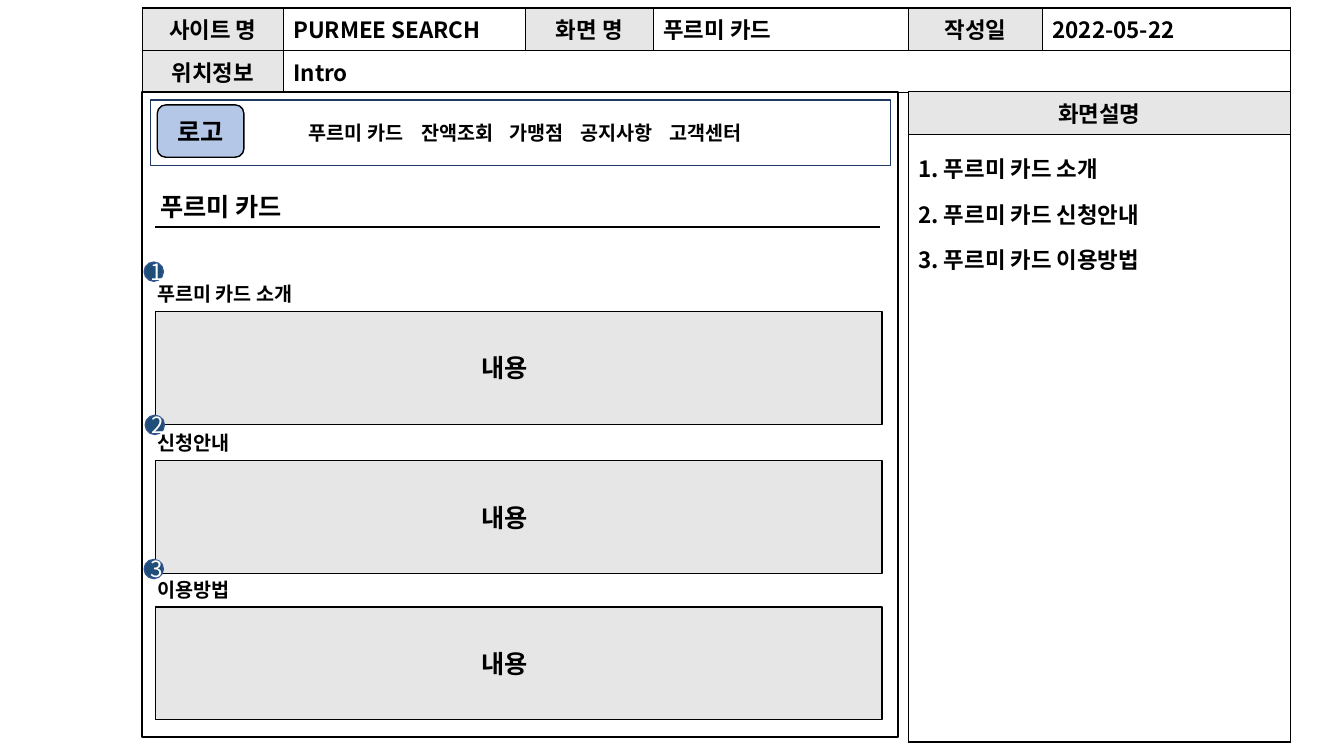
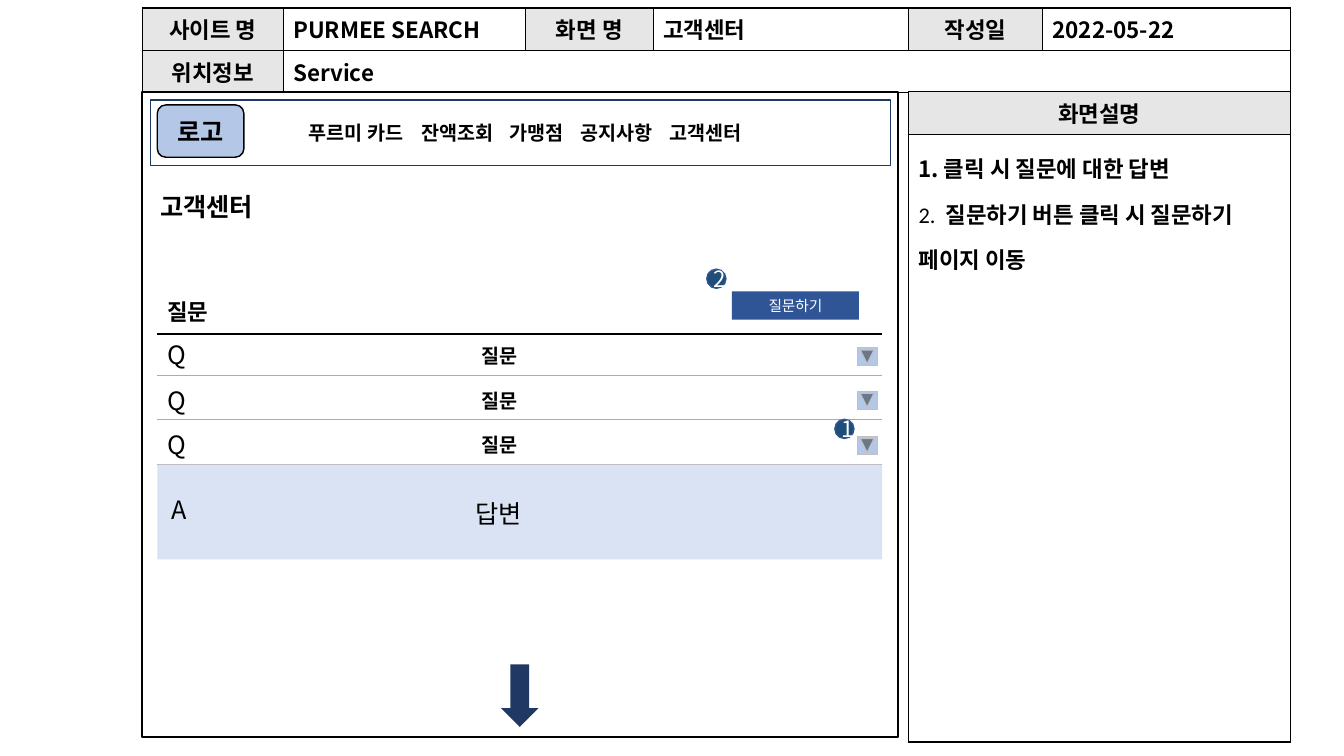
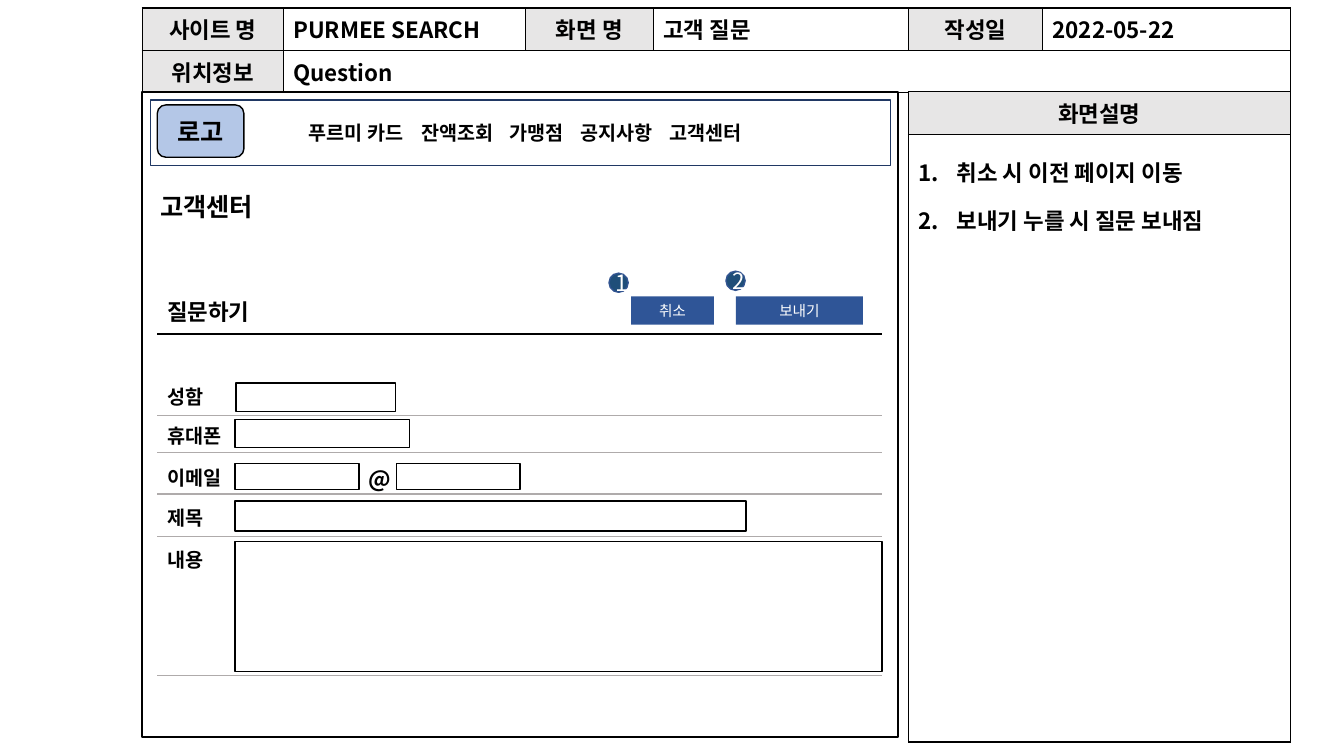
from lxml import etree
from pptx import Presentation
from pptx.dml.color import RGBColor
from pptx.enum import shapes, text
from pptx.oxml import ns
from pptx.util import Inches, Pt

FONT, LATIN = "Noto Sans CJK KR", "Calibri"
BLACK = RGBColor(0x00, 0x00, 0x00)
WHITE = RGBColor(0xFF, 0xFF, 0xFF)
GREY = RGBColor(0xE7, 0xE6, 0xE6)
RULE = RGBColor(0xAF, 0xAB, 0xAB)
SILVER = RGBColor(0xC0, 0xC0, 0xC0)
NAVY = RGBColor(0x20, 0x38, 0x64)
BLUE = RGBColor(0x2F, 0x55, 0x97)
SKY = RGBColor(0xB4, 0xC7, 0xE7)
PALE = RGBColor(0xDA, 0xE3, 0xF3)
MARKER = RGBColor(0x1F, 0x4E, 0x79)
MARKER_EDGE = RGBColor(0x32, 0x54, 0x91)

KIND = shapes.MSO_SHAPE
CENTER, LEFT = text.PP_ALIGN.CENTER, text.PP_ALIGN.LEFT
TITLE_ONLY = 5
RULE_LEFT, RULE_RIGHT = 1.56, 8.75
MENU = ["푸르미 카드", "잔액조회", "가맹점", "공지사항", "고객센터"]
MENU_STOPS = [1.12, 1.99, 2.7, 3.58]


def sub(parent, tag, **attrs):
    return etree.SubElement(parent, ns.qn(tag), attrs)


def add_run(p, words, size, color=BLACK, bold=True, font=FONT):
    r = p.add_run()
    r.text = words
    r.font.size, r.font.bold, r.font.name = Pt(size), bold, font
    r.font.color.rgb = color
    sub(r._r.get_or_add_rPr(), "a:ea", typeface=FONT)


def add_box(s, x, y, w, h, fill=None, line=None, width=1, kind=KIND.RECTANGLE):
    sp = s.shapes.add_shape(kind, Inches(x), Inches(y), Inches(w), Inches(h))
    sp.shadow.inherit = False
    if fill is None:
        sp.fill.background()
    else:
        sp.fill.solid()
        sp.fill.fore_color.rgb = fill
    if line is None:
        sp.line.fill.background()
    else:
        sp.line.color.rgb = line
        sp.line.width = Pt(width)
    return sp


def add_caption(sp, words, size, color=BLACK, bold=True):
    """Write centred text inside a shape."""
    p = sp.text_frame.paragraphs[0]
    p.alignment = CENTER
    add_run(p, words, size, color, bold)


def add_label(s, words, x, y, w, size=14, bold=True):
    h = {14: 0.34, 16: 0.37, 18: 0.4}[size]
    sp = s.shapes.add_textbox(Inches(x), Inches(y), Inches(w), Inches(h))
    sp.text_frame.word_wrap = False
    add_run(sp.text_frame.paragraphs[0], words, size, bold=bold)


def add_rule(s, y, color=RULE, width=1.0, x1=RULE_LEFT, x2=RULE_RIGHT):
    ln = s.shapes.add_connector(shapes.MSO_CONNECTOR.STRAIGHT,
                                Inches(x1), Inches(y), Inches(x2), Inches(y))
    ln.line.color.rgb = color
    ln.line.width = Pt(width)
    sub(ln._element.spPr, "a:effectLst")


def add_marker(s, number, x, y):
    sp = add_box(s, x, y, 0.19, 0.19, MARKER, MARKER_EDGE,
                 kind=KIND.FLOWCHART_CONNECTOR)
    add_caption(sp, number, 16, WHITE, bold=False)


def add_button(s, words, x, y, w):
    add_caption(add_box(s, x, y, w, 0.28, BLUE), words, 10.5, WHITE, bold=False)


def style_cell(cell, fill):
    """Give a cell black borders and a plain fill."""
    tcPr = cell._tc.get_or_add_tcPr()
    for side in ("a:lnL", "a:lnR", "a:lnT", "a:lnB"):
        ln = sub(tcPr, side, w=str(Pt(1)))
        sub(sub(ln, "a:solidFill"), "a:srgbClr", val=str(BLACK))
    cell.fill.solid()
    cell.fill.fore_color.rgb = fill


def add_grid(s, x, y, widths, heights):
    tbl = s.shapes.add_table(len(heights), len(widths), Inches(x), Inches(y),
                             Inches(sum(widths)), Inches(sum(heights))).table
    tbl.first_row = tbl.horz_banding = False
    for col, w in zip(tbl.columns, widths):
        col.width = Inches(w)
    for row, h in zip(tbl.rows, heights):
        row.height = Inches(h)
    return tbl


def add_header(s, screen, location):
    tbl = add_grid(s, 1.41, 0.08, [1.4, 2.4, 1.27, 2.53, 1.33, 2.46], [0.34, 0.34])
    rows = [["사이트 명", "PURMEE SEARCH", "화면 명", screen, "작성일", "2022-05-22"],
            ["위치정보", location, "", "", "", ""]]
    tbl.cell(1, 1).merge(tbl.cell(1, 5))
    for i, row in enumerate(rows):
        for j, words in enumerate(row):
            cell = tbl.cell(i, j)
            heading = j % 2 == 0 and words
            style_cell(cell, GREY if heading else WHITE)
            if words:
                p = cell.text_frame.paragraphs[0]
                p.alignment = CENTER if heading else LEFT
                add_run(p, words, 16)


def number_paragraph(p, indent):
    pPr = p._p.get_or_add_pPr()
    pPr.set("marL", str(Inches(indent)))
    pPr.set("indent", str(-Inches(indent)))
    sub(pPr, "a:buFont", typeface=FONT)
    sub(pPr, "a:buAutoNum", type="arabicPeriod")


def add_notes_panel(s, notes, spacing, indent):
    """List the notes; one given as (number, words) carries a typed number."""
    tbl = add_grid(s, 9.01, 0.91, [3.79], [0.37, 6.03])
    head, body = tbl.cell(0, 0), tbl.cell(1, 0)
    style_cell(head, GREY)
    style_cell(body, WHITE)
    add_caption(head, "화면설명", 16)
    tf = body.text_frame
    for i, note in enumerate(notes):
        p = tf.add_paragraph() if i else tf.paragraphs[0]
        p.line_spacing = spacing
        if isinstance(note, tuple):
            number, note = note
            add_run(p, number, 16, bold=False, font=LATIN)
        else:
            number_paragraph(p, indent)
        add_run(p, note, 16, font=LATIN)


def add_menu_bar(s):
    bar = add_box(s, 1.49, 0.99, 7.34, 0.65, WHITE, NAVY)
    bar.text_frame.margin_left = Inches(1.57)
    p = bar.text_frame.paragraphs[0]
    p.alignment = LEFT
    stops = sub(p._p.get_or_add_pPr(), "a:tabLst")
    for stop in MENU_STOPS:
        sub(stops, "a:tab", pos=str(Inches(stop)), algn="l")
    add_run(p, "\t".join(MENU), 14)
    logo = add_box(s, 1.56, 1.04, 0.86, 0.52, SKY, BLACK,
                   kind=KIND.ROUNDED_RECTANGLE)
    add_caption(logo, "로고", 18)


def add_screen(prs, screen, location, title, notes, spacing=1.4, indent=0):
    """Add a slide with everything that all screens share."""
    s = prs.slides.add_slide(prs.slide_layouts[TITLE_ONLY])
    sp = s.shapes.title
    sp.left, sp.top, sp.width, sp.height = map(Inches, (1.49, 1.85, 3, 0.4))
    tf = sp.text_frame
    tf.auto_size = text.MSO_AUTO_SIZE.NONE
    tf.vertical_anchor = text.MSO_ANCHOR.TOP
    tf.paragraphs[0].alignment = LEFT
    add_run(tf.paragraphs[0], title, 18)
    add_header(s, screen, location)
    add_notes_panel(s, notes, spacing, indent)
    add_box(s, 1.41, 0.91, 7.5, 6.4, line=BLACK, width=1.5)
    add_menu_bar(s)
    return s


def add_section_head(s, words, w):
    add_label(s, words, RULE_LEFT, 2.91, w, 16)
    add_rule(s, 3.31, BLACK, 1.5)


def build_card(prs):
    s = add_screen(prs, "푸르미 카드", "Intro", "푸르미 카드",
                   [" 푸르미 카드 소개", " 푸르미 카드 신청안내", " 푸르미 카드 이용방법"])
    add_rule(s, 2.25, BLACK, 1.5, 1.54, 8.73)
    sections = [("푸르미 카드 소개", 1.71, 3.09), ("신청안내", 0.99, 4.57),
                ("이용방법", 0.99, 6.02)]
    for words, w, y in sections:
        add_label(s, words, 1.46, y - 0.34, w)
        add_box(s, 1.54, y, 7.21, 1.12, GREY, BLACK)
        add_label(s, "내용", 4.68, y + 0.36, 0.71, 18)
    for number, x, y in [("1", 1.43, 2.6), ("2", 1.44, 4.12), ("3", 1.43, 5.55)]:
        add_marker(s, number, x, y)


def build_support(prs):
    s = add_screen(prs, "고객센터", "Service", "고객센터",
                   [" 클릭 시 질문에 대한 답변",
                    ("2. ", " 질문하기 버튼 클릭 시 질문하기 페이지 이동")])
    add_section_head(s, "질문", 0.65)
    for text_y, rule_y in [(3.32, 3.73), (3.77, 4.16), (4.21, 4.61)]:
        add_label(s, "Q", RULE_LEFT, text_y, 0.39, 18, bold=False)
        add_label(s, "질문", 4.68, text_y + 0.04, 0.59)
        opener = add_box(s, 8.51, rule_y - 0.29, 0.18, 0.2, SKY, SILVER, 0.75,
                         KIND.ACTION_BUTTON_FORWARD_OR_NEXT)
        opener.rotation = 90
        add_rule(s, rule_y, width=0.75)
    add_box(s, RULE_LEFT, 4.61, RULE_RIGHT - RULE_LEFT, 0.94, PALE)
    add_label(s, "A", 1.6, 4.86, 0.39, 18, bold=False)
    add_label(s, "답변", 4.62, 4.89, 0.71, 18, bold=False)
    add_button(s, "질문하기", 7.26, 2.89, 1.26)
    add_box(s, 4.97, 6.59, 0.37, 0.62, NAVY, kind=KIND.DOWN_ARROW)
    add_marker(s, "1", 8.28, 4.16)
    add_marker(s, "2", 7.01, 2.67)


def build_question(prs):
    s = add_screen(prs, "고객 질문", "Question", "고객센터",
                   ["취소 시 이전 페이지 이동", "보내기 누를 시 질문 보내짐"], 1.5, 0.38)
    add_section_head(s, "질문하기", 1.1)
    fields = [("성함", 3.77, 0.59, 4.12), ("휴대폰", 4.16, 0.77, 4.49),
              ("이메일", 4.57, 0.77, 4.9), ("제목", 4.97, 0.59, 5.32),
              ("내용", 5.39, 0.59, 6.7)]
    for words, y, w, rule_y in fields:
        add_label(s, words, RULE_LEFT, y, w)
        add_rule(s, rule_y)
    inputs = [(2.34, 3.8, 1.58, 0.28), (2.33, 4.16, 1.73, 0.28),
              (2.33, 4.6, 1.23, 0.26), (3.93, 4.6, 1.23, 0.26),
              (2.33, 4.97, 5.07, 0.3), (2.33, 5.37, 6.42, 1.29)]
    for x, y, w, h in inputs:
        add_box(s, x, y, w, h, WHITE, BLACK)
    add_label(s, "@", 3.56, 4.57, 0.42, 16)
    add_button(s, "취소", 6.26, 2.94, 0.82)
    add_button(s, "보내기", 7.3, 2.94, 1.26)
    add_marker(s, "1", 6.04, 2.71)
    add_marker(s, "2", 7.2, 2.69)


def main():
    prs = Presentation()
    prs.slide_width, prs.slide_height = Inches(13.33), Inches(7.5)
    build_card(prs)
    build_support(prs)
    build_question(prs)
    prs.save("out.pptx")


if __name__ == "__main__":
    main()
